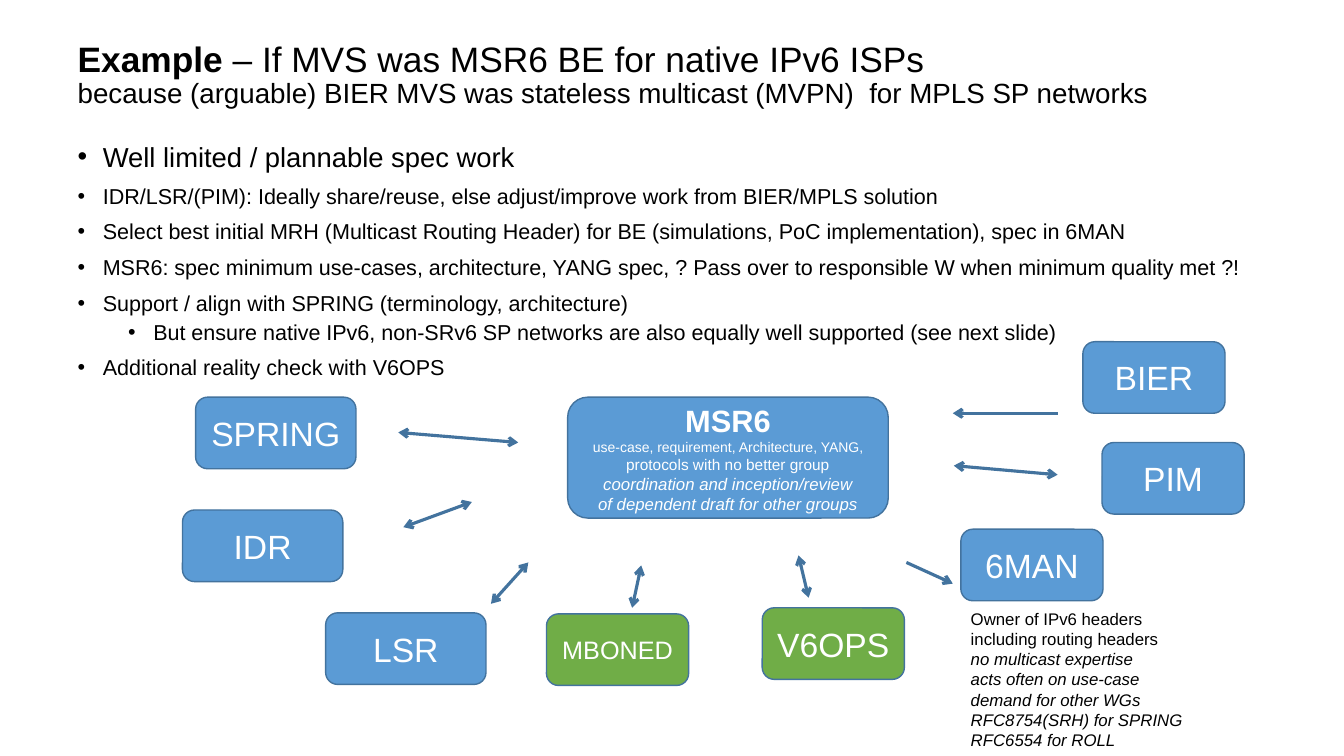
from lxml import etree
from pptx import Presentation
from pptx.dml.color import RGBColor
from pptx.enum.shapes import MSO_CONNECTOR, MSO_SHAPE
from pptx.enum.text import MSO_ANCHOR, MSO_AUTO_SIZE, PP_ALIGN
from pptx.oxml.ns import qn
from pptx.util import Inches, Pt

STRAIGHT = MSO_CONNECTOR.STRAIGHT
ROUNDED = MSO_SHAPE.ROUNDED_RECTANGLE
MIDDLE, TOP = MSO_ANCHOR.MIDDLE, MSO_ANCHOR.TOP
NO_FIT = MSO_AUTO_SIZE.NONE
LEFT, CENTER = PP_ALIGN.LEFT, PP_ALIGN.CENTER

BLACK = RGBColor(0x00, 0x00, 0x00)
WHITE = RGBColor(0xFF, 0xFF, 0xFF)
BLUE = RGBColor(0x5B, 0x9B, 0xD5)
GREEN = RGBColor(0x70, 0xAD, 0x47)
EDGE = RGBColor(0x43, 0x73, 0x9E)


def style(span, size, color, bold=False, italic=False):
    span.font.name = "Arial"
    span.font.size = Pt(size)
    span.font.color.rgb = color
    span.font.bold = bold
    span.font.italic = italic


def add_group(left, top, width, height, fill, lines):
    box = page.shapes.add_shape(ROUNDED, Inches(left), Inches(top), Inches(width), Inches(height))
    box.shadow.inherit = False
    box.fill.solid()
    box.fill.fore_color.rgb = fill
    box.line.color.rgb = EDGE
    box.line.width = Pt(1)
    frame = box.text_frame
    frame.word_wrap = False
    frame.vertical_anchor = MIDDLE
    frame.text = "\n".join(line[0] for line in lines)
    for para, (text, size, bold, italic) in zip(frame.paragraphs, lines):
        para.alignment = CENTER
        style(para.runs[0], size, WHITE, bold, italic)


deck = Presentation()
deck.slide_width, deck.slide_height = Inches(13.33), Inches(7.5)
page = deck.slides.add_slide(deck.slide_layouts[1])
title, body = page.placeholders

title.left, title.top = Inches(0.67), Inches(0.27)
title.width, title.height = Inches(11.69), Inches(0.97)
title.text_frame.auto_size = NO_FIT
title.text_frame.vertical_anchor = MIDDLE
para = title.text_frame.paragraphs[0]
para.alignment = LEFT
para.line_spacing = 0.88
para.text = (
    "– If MVS was MSR6 BE for native IPv6 ISPs\v"
    "because (arguable) BIER MVS was stateless multicast (MVPN)  for MPLS SP networks"
)
heading, subtitle = para.runs
style(heading, 25.2, BLACK)
style(subtitle, 19.8, BLACK)
example = para.add_run()
example.text = "Example "
style(example, 25.2, BLACK, bold=True)
heading._r.addprevious(example._r)

body.left, body.top = Inches(0.67), Inches(1.39)
body.width, body.height = Inches(11.75), Inches(2.71)
body.text_frame.auto_size = NO_FIT
body.text_frame.vertical_anchor = TOP
bullets = [
    ("Well limited / plannable spec work", 0, 19.6),
    ("IDR/LSR/(PIM): Ideally share/reuse, else adjust/improve work from BIER/MPLS solution", 0, 15.4),
    ("Select best initial MRH (Multicast Routing Header) for BE (simulations, PoC implementation), spec in 6MAN", 0, 15.4),
    ("MSR6: spec minimum use-cases, architecture, YANG spec, ? Pass over to responsible W when minimum quality met ?!", 0, 15.4),
    ("Support / align with SPRING (terminology, architecture)", 0, 15.4),
    ("But ensure native IPv6, non-SRv6 SP networks are also equally well supported (see next slide)", 1, 15.4),
    ("Additional reality check with V6OPS", 0, 15.4),
]
body.text_frame.text = "\n".join(bullet[0] for bullet in bullets)
for para, (text, level, size) in zip(body.text_frame.paragraphs, bullets):
    para.level = level
    para.line_spacing = 0.84
    para.space_before = Pt(5 if level else 10)
    style(para.runs[0], size, BLACK)
    properties = para._p.get_or_add_pPr()
    properties.set("marL", str(Inches(0.25 + 0.5 * level)))
    properties.set("indent", str(Inches(-0.25)))
    etree.SubElement(properties, qn("a:buFont")).set("typeface", "Arial")
    etree.SubElement(properties, qn("a:buChar")).set("char", "•")

WIDE, NARROW = 1.59, 1.41
groups = [
    ("SPRING", 1.94, 3.94, WIDE, BLUE, 24),
    ("IDR", 1.81, 5.06, WIDE, BLUE, 24),
    ("LSR", 3.23, 6.08, WIDE, BLUE, 24),
    ("MBONED", 5.42, 6.09, NARROW, GREEN, 18),
    ("V6OPS", 7.56, 6.03, NARROW, GREEN, 24),
    ("6MAN", 9.53, 5.25, NARROW, BLUE, 24),
    ("PIM", 10.93, 4.39, NARROW, BLUE, 24),
    ("BIER", 10.74, 3.39, NARROW, BLUE, 24),
]
for name, left, top, width, fill, size in groups:
    add_group(left, top, width, 0.71, fill, [(name, size, False, False)])

add_group(5.63, 3.94, 3.18, 1.2, BLUE, [
    ("MSR6", 22, True, False),
    ("use-case, requirement, Architecture, YANG,", 10, False, False),
    ("protocols with no better group", 11, False, False),
    ("coordination and inception/review", 12, False, True),
    ("of dependent draft for other groups", 12, False, True),
])

BOTH, END = ("headEnd", "tailEnd"), ("tailEnd",)
arrows = [
    (5.14, 4.39, 3.95, 4.29, BOTH),
    (4, 5.23, 4.68, 4.98, BOTH),
    (5.24, 5.58, 4.87, 5.99, BOTH),
    (6.36, 5.61, 6.27, 6.03, BOTH),
    (7.92, 5.51, 8.02, 5.93, BOTH),
    (8.99, 5.58, 9.45, 5.79, END),
    (9.46, 4.62, 10.49, 4.71, BOTH),
    (10.49, 4.1, 9.45, 4.1, END),
]
for *points, ends in arrows:
    arrow = page.shapes.add_connector(STRAIGHT, *[Inches(point) for point in points])
    arrow.line.color.rgb = EDGE
    arrow.line.width = Pt(2.25)
    line = arrow.line._get_or_add_ln()
    for end in ends:
        etree.SubElement(line, qn("a:" + end)).set("type", "arrow")
    etree.SubElement(arrow._element.spPr, qn("a:effectLst"))

owner = page.shapes.add_textbox(Inches(9.53), Inches(5.99), Inches(2.3), Inches(1.5))
owner.text_frame.word_wrap = False
owner.text_frame.text = "\n".join([
    "Owner of IPv6 headers",
    "including routing headers",
    "no multicast expertise",
    "acts often on use-case",
    "demand for other WGs",
    "RFC8754(SRH) for SPRING",
    "RFC6554 for ROLL",
])
for index, para in enumerate(owner.text_frame.paragraphs):
    style(para.runs[0], 12, BLACK, italic=index >= 2)

deck.save("out.pptx")
